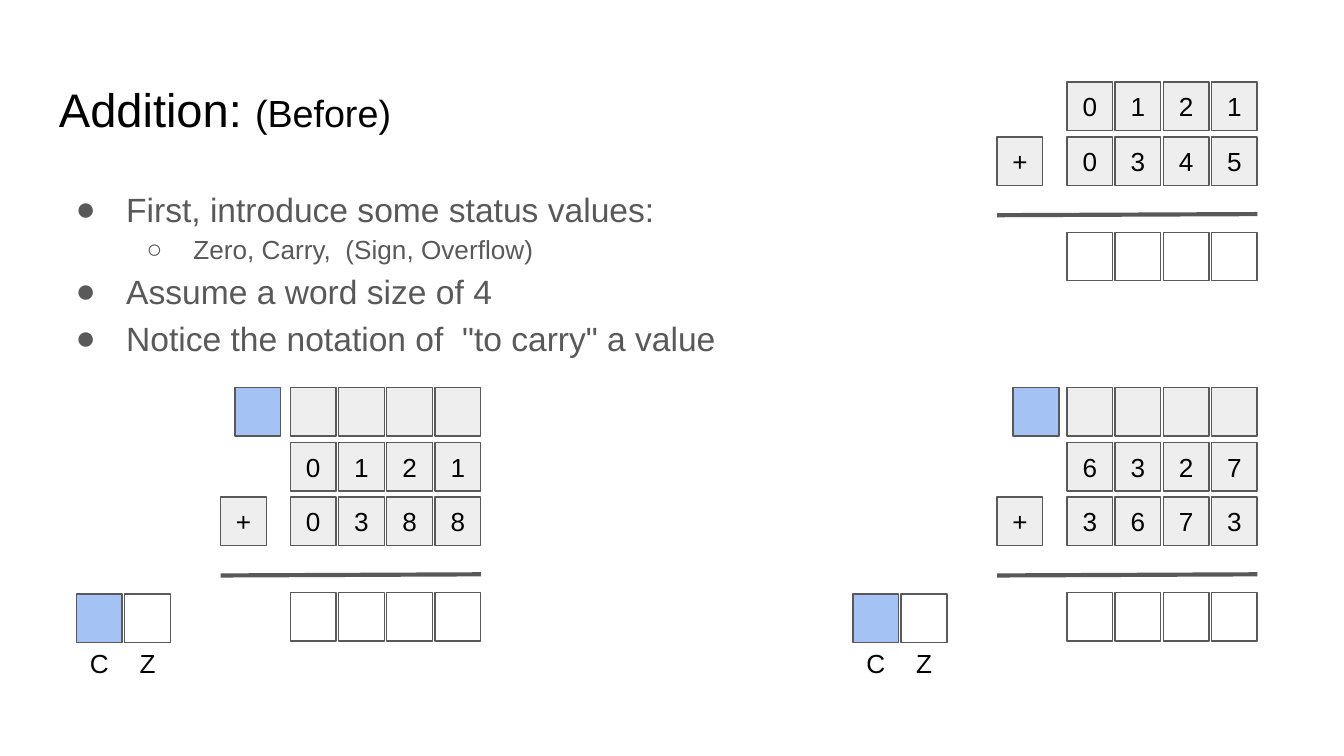
from dataclasses import dataclass

from lxml import etree
from pptx import Presentation
from pptx.dml.color import RGBColor
from pptx.enum.shapes import MSO_CONNECTOR, MSO_SHAPE
from pptx.enum.text import MSO_ANCHOR, PP_ALIGN
from pptx.oxml.ns import qn
from pptx.util import Pt

RECTANGLE = MSO_SHAPE.RECTANGLE
STRAIGHT = MSO_CONNECTOR.STRAIGHT
MIDDLE, TOP = MSO_ANCHOR.MIDDLE, MSO_ANCHOR.TOP
CENTER = PP_ALIGN.CENTER

FONT = "Arial"
BLACK, GRAY = "000000", "595959"
DIGIT_FILL, RESULT_FILL, CARRY_FILL = "EEEEEE", "FFFFFF", "A4C2F4"

CELL_WIDTH, CELL_HEIGHT = 24.5, 26
COLUMN_STEP, ROW_STEP = 25.8, 29.3
DIGITS_OFFSET = 37.4
RULE_WIDTH, RULE_OFFSET = 139.4, 71
RESULT_OFFSET = 80.4
STATUS_OFFSET_X, STATUS_OFFSET_Y = -77.2, 81.2
STATUS_LABEL_OFFSET = 105.1
INSET = 7.2


@dataclass(frozen=True)
class Sum:
    left: float
    top: float
    addends: tuple[str, str]
    carry_left: float | None = None


@dataclass(frozen=True)
class Point:
    text: str
    size: float = 18
    level: int = 0
    hanging: float = 27
    bullet: str = "●"


SUMS = (
    Sum(118.2, 237, ("0121", "0388"), carry_left=126),
    Sum(534.2, 237, ("6327", "3673"), carry_left=542.8),
    Sum(534.2, 44, ("0121", "0345")),
)
POINTS = (
    Point("First, introduce some status values:"),
    Point("Zero, Carry,  (Sign, Overflow)", 14, 1, 25, "○"),
    Point("Assume a word size of 4"),
    Point('Notice the notation of  "to carry" a value'),
)


def color(value: str) -> RGBColor:
    return RGBColor.from_string(value)


def style_run(run, size: float, shade: str) -> None:
    run.font.name = FONT
    run.font.size = Pt(size)
    run.font.color.rgb = color(shade)


def prepare_frame(frame, anchor) -> None:
    frame.word_wrap = True
    frame.vertical_anchor = anchor
    frame.margin_left = frame.margin_right = Pt(INSET)
    frame.margin_top = frame.margin_bottom = Pt(INSET)


def write_symbol(frame, symbol: str) -> None:
    prepare_frame(frame, MIDDLE)
    frame.text = symbol
    paragraph = frame.paragraphs[0]
    paragraph.alignment = CENTER
    style_run(paragraph.runs[0], 14, BLACK)


def draw_cell(shapes, left: float, top: float, fill: str, symbol: str = "") -> None:
    cell = shapes.add_shape(RECTANGLE, Pt(left), Pt(top), Pt(CELL_WIDTH), Pt(CELL_HEIGHT))
    cell.shadow.inherit = False
    cell.fill.solid()
    cell.fill.fore_color.rgb = color(fill)
    cell.line.color.rgb = color(GRAY)
    cell.line.width = Pt(0.75)
    if symbol:
        write_symbol(cell.text_frame, symbol)


def draw_row(shapes, left: float, top: float, fill: str, digits: str = "") -> None:
    for column in range(4):
        draw_cell(shapes, left + column * COLUMN_STEP, top, fill, digits[column:column + 1])


def draw_rule(shapes, left: float, top: float) -> None:
    rule = shapes.add_connector(STRAIGHT, Pt(left), Pt(top + 0.3), Pt(left + RULE_WIDTH), Pt(top - 0.3))
    rule.line.color.rgb = color(GRAY)
    rule.line.width = Pt(2.25)
    etree.SubElement(rule.line._get_or_add_ln().getparent(), qn("a:effectLst"))


def draw_status(shapes, left: float, top: float) -> None:
    for column, (flag, fill) in enumerate((("C", CARRY_FILL), ("Z", RESULT_FILL))):
        flag_left = left + STATUS_OFFSET_X + column * COLUMN_STEP
        draw_cell(shapes, flag_left, top + STATUS_OFFSET_Y, fill)
        label = shapes.add_textbox(Pt(flag_left), Pt(top + STATUS_LABEL_OFFSET), Pt(CELL_WIDTH), Pt(CELL_HEIGHT))
        write_symbol(label.text_frame, flag)


def draw_sum(slide, addition: Sum) -> None:
    shapes = slide.shapes.add_group_shape().shapes
    digits_left = addition.left + DIGITS_OFFSET
    for row, digits in enumerate(addition.addends):
        draw_row(shapes, digits_left, addition.top + row * ROW_STEP, DIGIT_FILL, digits)
    draw_row(shapes, digits_left, addition.top + RESULT_OFFSET, RESULT_FILL)
    draw_rule(shapes, addition.left, addition.top + RULE_OFFSET)
    draw_cell(shapes, addition.left, addition.top + ROW_STEP, DIGIT_FILL, "+")
    if addition.carry_left is not None:
        draw_status(shapes, addition.left, addition.top)
        carry_top = addition.top - ROW_STEP
        draw_row(shapes, digits_left, carry_top, DIGIT_FILL)
        draw_cell(shapes, addition.carry_left, carry_top, CARRY_FILL)


def write_title(slide) -> None:
    frame = slide.shapes.add_textbox(Pt(24.5), Pt(35.3), Pt(671), Pt(45.4)).text_frame
    prepare_frame(frame, MIDDLE)
    for text, size in (("Addition: ", 25.2), ("(Before)", 20.2)):
        run = frame.paragraphs[0].add_run()
        run.text = text
        style_run(run, size, BLACK)


def write_points(slide) -> None:
    frame = slide.shapes.add_textbox(Pt(24.5), Pt(90.7), Pt(671), Pt(269.3)).text_frame
    prepare_frame(frame, TOP)
    frame.text = "\n".join(point.text for point in POINTS)
    for paragraph, point in zip(frame.paragraphs, POINTS):
        paragraph.level = point.level
        paragraph.line_spacing = 1.15
        style_run(paragraph.runs[0], point.size, GRAY)
        properties = paragraph._p.get_or_add_pPr()
        properties.set("marL", str(Pt(36 * (point.level + 1))))
        properties.set("indent", str(-Pt(point.hanging)))
        bullet_color = etree.SubElement(properties, qn("a:buClr"))
        etree.SubElement(bullet_color, qn("a:srgbClr"), val=GRAY)
        etree.SubElement(properties, qn("a:buFont"), typeface=FONT)
        etree.SubElement(properties, qn("a:buChar"), char=point.bullet)


def main() -> None:
    presentation = Presentation()
    presentation.slide_width, presentation.slide_height = Pt(720), Pt(405)
    slide = presentation.slides.add_slide(presentation.slide_layouts[6])
    write_title(slide)
    write_points(slide)
    for addition in SUMS:
        draw_sum(slide, addition)
    presentation.save("out.pptx")


main()
